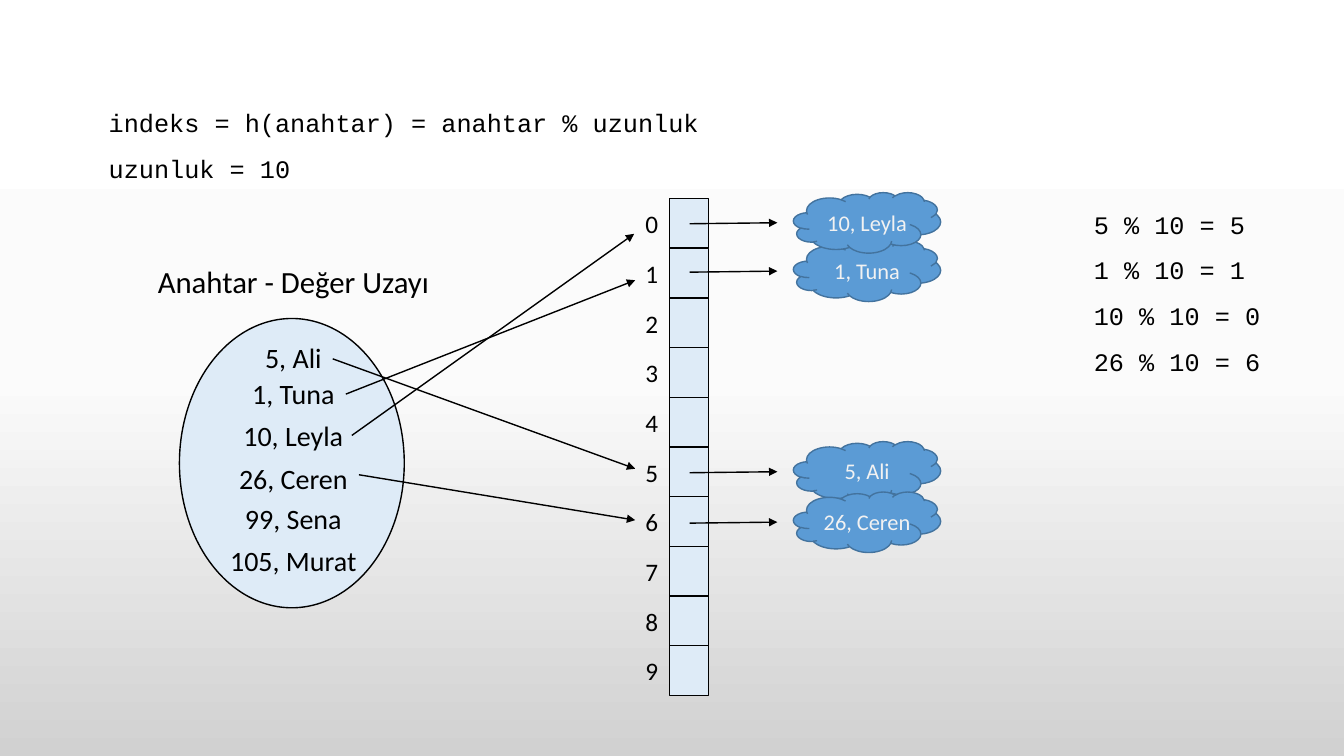
from copy import deepcopy
from dataclasses import dataclass

from lxml import etree
from pptx import Presentation
from pptx import util as u
from pptx.dml.color import RGBColor
from pptx.enum import shapes, text
from pptx.oxml.ns import qn


@dataclass(frozen=True)
class Theme:
    black: str = "000000"
    pale: str = "DEEBF7"
    cloud: str = "5B9BD5"
    cloud_line: str = "43739E"
    cloud_text: str = "F2F2F2"
    background: tuple = ((0, "FFFFFF"), (0.5, "FBFBFB"), (1, "D1D1D1"))
    sans: str = "Calibri"
    mono: str = "Courier New"
    title: int = 22
    key: int = 20
    body: int = 18
    small: int = 16
    line: int = 1


@dataclass(frozen=True)
class Key:
    label: str
    top: float
    width: float


@dataclass(frozen=True)
class Entry:
    """A key hashed to a cell, with the cloud that the cell points to."""
    label: str
    start: tuple[float, float]
    end: tuple[float, float]
    cloud_top: float
    label_width: float


T = Theme()
CELL_X, CELL_Y, CELL_W, CELL_H = 6.64, 1.97, 0.39, 0.493
CELLS = 10
KEYS_MID = 2.91
CLOUD_X, CLOUD_W, CLOUD_H = 7.87, 1.46, 0.6

KEYS = [
    Key("5, Ali", 3.33, 0.77),
    Key("1, Tuna", 3.69, 1.03),
    Key("10, Leyla", 4.1, 1.2),
    Key("26, Ceren", 4.53, 1.29),
    Key("99, Sena", 4.93, 1.17),
    Key("105, Murat", 5.34, 1.47),
]
ENTRIES = [
    Entry("5, Ali", (3.3, 3.56), (6.3, 4.65), 4.38, 0.45),
    Entry("1, Tuna", (3.43, 3.91), (6.3, 2.78), 2.39, 0.66),
    Entry("10, Leyla", (3.49, 4.32), (6.29, 2.32), 1.91, 0.8),
    Entry("26, Ceren", (3.56, 4.71), (6.3, 5.16), 4.88, 0.87),
]
FORMULA = ["indeks = h(anahtar) = anahtar % uzunluk", "uzunluk = 10"]
RESULTS = ["5 % 10 = 5", "1 % 10 = 1", "10 % 10 = 0", "26 % 10 = 6"]


def rgb(value: str) -> RGBColor:
    return RGBColor.from_string(value)


def apply(target, values: dict) -> None:
    for name, value in values.items():
        setattr(target, name, value)


def add_background(s) -> None:
    fill = s.background.fill
    fill.gradient()
    fill.gradient_angle = 270
    stops = s._element.find(".//" + qn("a:gsLst"))
    stops.insert(1, deepcopy(stops[0]))
    for stop, (position, color) in zip(fill.gradient_stops, T.background):
        stop.position = position
        stop.color.rgb = rgb(color)


def add_shape(s, kind, x: float, y: float, w: float, h: float,
              fill: str, line: str) -> None:
    sp = s.shapes.add_shape(kind, *map(u.Inches, (x, y, w, h)))
    sp.shadow.inherit = False
    sp.fill.solid()
    sp.fill.fore_color.rgb = rgb(fill)
    sp.line.color.rgb = rgb(line)
    sp.line.width = u.Pt(T.line)


def add_text(s, lines: list[str], x: float, y: float, w: float, h: float,
             size: int, font: str = T.sans, color: str = T.black,
             inset: bool = True, paragraph: dict | None = None) -> None:
    sp = s.shapes.add_textbox(*map(u.Inches, (x, y, w, h)))
    tf = sp.text_frame
    apply(tf, {"word_wrap": False,
               "auto_size": text.MSO_AUTO_SIZE.SHAPE_TO_FIT_TEXT})
    if not inset:
        apply(tf, dict.fromkeys(("margin_left", "margin_top",
                                 "margin_right", "margin_bottom"), 0))
    for i, line in enumerate(lines):
        p = tf.paragraphs[0] if i == 0 else tf.add_paragraph()
        apply(p, paragraph or {"alignment": text.PP_ALIGN.CENTER})
        r = p.add_run()
        r.text = line
        apply(r.font, {"name": font, "size": u.Pt(size)})
        r.font.color.rgb = rgb(color)


def add_code(s, lines: list[str], x: float, y: float, w: float, h: float) -> None:
    add_text(s, lines, x, y, w, h, T.body, T.mono,
             paragraph={"space_after": u.Pt(10), "line_spacing": 1.05})


def add_arrow(s, start: tuple[float, float], end: tuple[float, float]) -> None:
    cx = s.shapes.add_connector(shapes.MSO_CONNECTOR.STRAIGHT,
                                *map(u.Inches, (*start, *end)))
    cx.line.color.rgb = rgb(T.black)
    cx.line.width = u.Pt(T.line)
    etree.SubElement(cx.line._get_or_add_ln(), qn("a:tailEnd"), type="triangle")
    etree.SubElement(cx._element.spPr, qn("a:effectLst"))


def add_table_cells(s) -> None:
    for i in range(CELLS):
        y = CELL_Y + i * CELL_H
        add_shape(s, shapes.MSO_SHAPE.RECTANGLE, CELL_X, y, CELL_W, CELL_H,
                  T.pale, T.black)
        add_text(s, [str(i)], 6.3, y + 0.05, 0.33, 0.34, T.body)


def add_key_space(s) -> None:
    add_shape(s, shapes.MSO_SHAPE.OVAL, 1.78, 3.16, 2.23, 2.87, T.pale, T.black)
    add_text(s, ["Anahtar - Değer Uzayı"], KEYS_MID - 1.46, 2.56, 2.92, 0.47, T.title)
    for key in KEYS:
        add_text(s, [key.label], KEYS_MID - key.width / 2, key.top,
                 key.width, 0.44, T.key)


def add_entry(s, entry: Entry) -> None:
    top = entry.cloud_top
    add_arrow(s, entry.start, entry.end)
    add_arrow(s, (6.84, top + 0.31), (7.71, top + 0.3))
    add_shape(s, shapes.MSO_SHAPE.CLOUD, CLOUD_X, top, CLOUD_W, CLOUD_H,
              T.cloud, T.cloud_line)
    add_text(s, [entry.label], CLOUD_X + (CLOUD_W - entry.label_width) / 2,
             top + 0.16, entry.label_width, 0.27, T.small,
             color=T.cloud_text, inset=False)


def main() -> None:
    prs = Presentation()
    apply(prs, {"slide_width": u.Inches(13.33), "slide_height": u.Inches(7.5)})
    s = prs.slides.add_slide(prs.slide_layouts[6])
    add_background(s)
    # Hash table with its indices
    add_table_cells(s)
    # Hash function
    add_code(s, FORMULA, 0.98, 1, 6.15, 0.85)
    # Keys and values
    add_key_space(s)
    # Worked results
    add_code(s, RESULTS, 10.75, 2.01, 1.88, 1.73)
    # Arrows and stored entries
    for entry in ENTRIES:
        add_entry(s, entry)
    prs.save("out.pptx")


if __name__ == "__main__":
    main()
